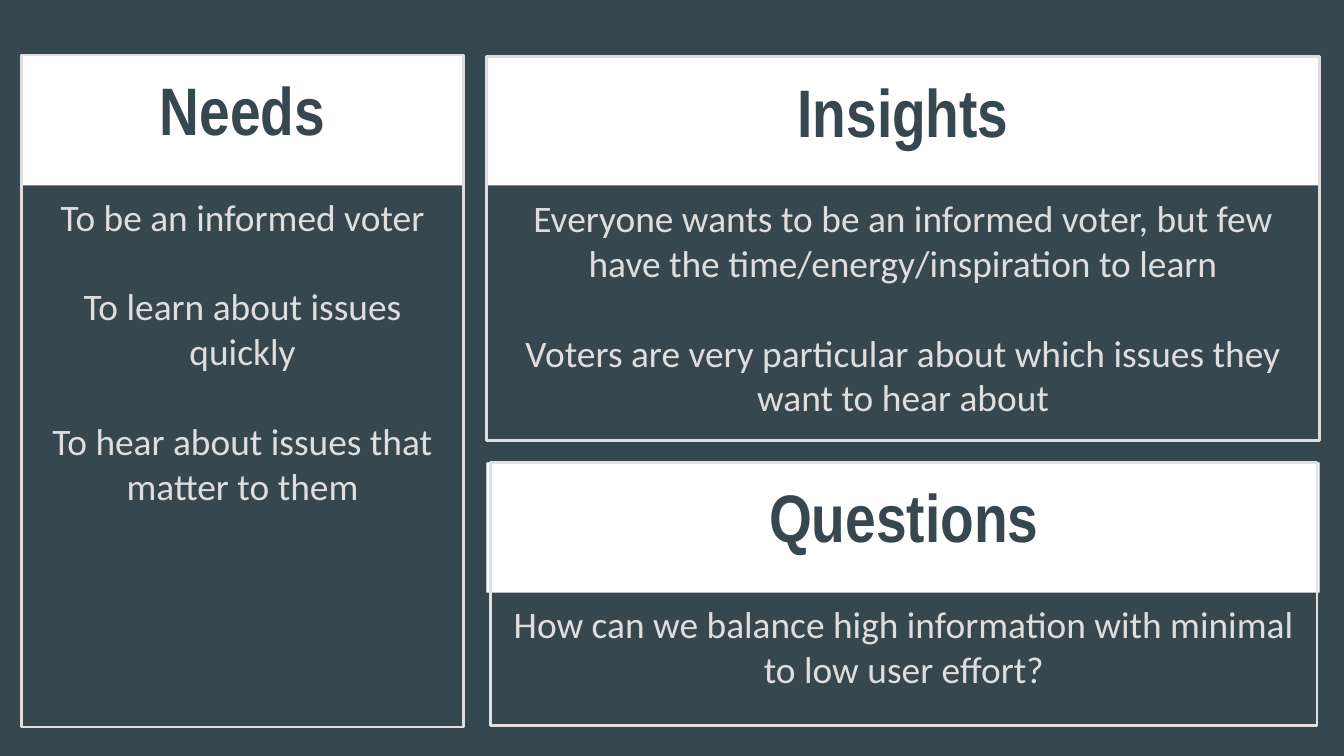
from dataclasses import dataclass

from pptx import Presentation
from pptx import util as u
from pptx.dml import color
from pptx.enum import shapes, text


@dataclass(frozen=True)
class Theme:
    background: str = "37474F"
    band: str = "FFFFFF"
    border: str = "DEDEDE"
    light_border: str = "E0E0E0"
    body_text: str = "DEDEDE"
    heading_font: str = "Arial Narrow"
    body_font: str = "Calibri"
    heading_size: int = 36
    body_size: int = 20
    body_line: int = 24
    border_width: float = 1.5


THEME = Theme()
INSET = 0.1
BAND_HEIGHT = 0.97
LEFT_COLUMN = (0.16, 3.29)
RIGHT_COLUMN = (3.62, 6.2)
UPPER_ROW, LOWER_ROW = 0.41, 3.44

# Each card: heading, statements, column, row, frame box, border colour
CARDS = [
    ("Needs",
     ["To be an informed voter",
      "To learn about issues quickly",
      "To hear about issues that matter to them"],
     LEFT_COLUMN, UPPER_ROW, (0.16, 0.41, 3.29, 5), THEME.border),
    ("Insights",
     ["Everyone wants to be an informed voter, but few have the "
      "time/energy/inspiration to learn",
      "Voters are very particular about which issues they want to hear about"],
     RIGHT_COLUMN, UPPER_ROW, (3.62, 0.42, 6.2, 2.86), THEME.border),
    ("Questions",
     ["How can we balance high information with minimal to low user effort?"],
     RIGHT_COLUMN, LOWER_ROW, (3.65, 3.44, 6.15, 1.96), THEME.light_border),
]


def rgb(value):
    return color.RGBColor.from_string(value)


def add_rectangle(slide, box):
    shape = slide.shapes.add_shape(
        shapes.MSO_SHAPE.RECTANGLE, *(u.Inches(length) for length in box))
    shape.shadow.inherit = False
    return shape


def format_paragraph(paragraph, font_name, size, font_color, bold=False):
    paragraph.alignment = text.PP_ALIGN.CENTER
    for run in paragraph.runs:
        run.font.name = font_name
        run.font.size = u.Pt(size)
        run.font.bold = bold
        run.font.color.rgb = rgb(font_color)


def add_card(slide, heading, statements, column, row, box, border):
    # White band behind the heading
    left, width = column
    band = add_rectangle(slide, (left, row, width, BAND_HEIGHT))
    band.fill.solid()
    band.fill.fore_color.rgb = rgb(THEME.band)
    band.line.fill.background()

    # Outlined frame that holds all the text
    frame = add_rectangle(slide, box)
    frame.fill.background()
    frame.line.color.rgb = rgb(border)
    frame.line.width = u.Pt(THEME.border_width)

    text_frame = frame.text_frame
    text_frame.word_wrap = True
    text_frame.vertical_anchor = text.MSO_ANCHOR.TOP
    text_frame.margin_left = text_frame.margin_right = u.Inches(INSET)
    text_frame.margin_top = text_frame.margin_bottom = u.Inches(INSET)

    # Heading, then statements one line apart
    text_frame.text = heading
    format_paragraph(text_frame.paragraphs[0], THEME.heading_font,
                     THEME.heading_size, THEME.background, bold=True)
    for statement in statements:
        paragraph = text_frame.add_paragraph()
        paragraph.text = statement
        paragraph.line_spacing = u.Pt(THEME.body_line)
        paragraph.space_before = u.Pt(THEME.body_line)
        format_paragraph(paragraph, THEME.body_font, THEME.body_size,
                         THEME.body_text)


def main():
    # Widescreen slide, 16:9
    presentation = Presentation()
    presentation.slide_width = u.Inches(10)
    presentation.slide_height = u.Inches(10) * 9 // 16
    slide = presentation.slides.add_slide(presentation.slide_layouts[6])
    slide.background.fill.solid()
    slide.background.fill.fore_color.rgb = rgb(THEME.background)

    for card in CARDS:
        add_card(slide, *card)
    presentation.save("out.pptx")


if __name__ == "__main__":
    main()
